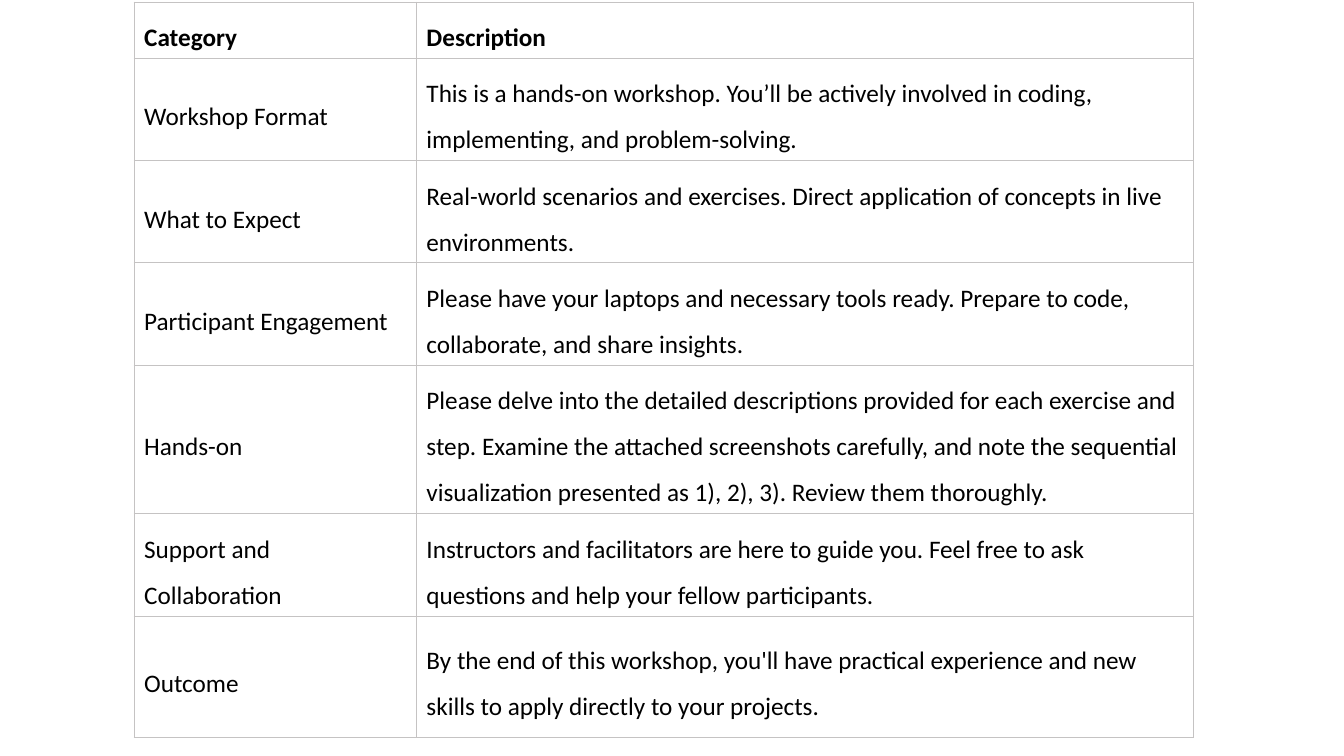
from typing import NamedTuple

from lxml import etree
from pptx import Presentation
from pptx.dml.color import RGBColor
from pptx.enum.text import MSO_ANCHOR
from pptx.oxml.ns import qn
from pptx.table import Table, _Cell
from pptx.util import Emu, Pt

PX = 9144  # EMU in one px, 100 px to the inch
BLACK = RGBColor(0x00, 0x00, 0x00)
GREY = RGBColor(0xC5, 0xC3, 0xC3)
MIDDLE = MSO_ANCHOR.MIDDLE
BLANK = 6
EDGES = ("a:lnL", "a:lnR", "a:lnT", "a:lnB")
FONT = {"name": "Calibri", "size": Pt(18)}
PLAIN = {"first_row": False, "horz_banding": False}
WIDTHS = (280, 771)


class Row(NamedTuple):
    topic: str
    text: str
    height: int = 93
    bold: bool = False


ROWS = (
    Row("Category", "Description", 49, True),
    Row("Workshop Format",
        "This is a hands-on workshop. You’ll be actively involved in coding, "
        "implementing, and problem-solving."),
    Row("What to Expect",
        "Real-world scenarios and exercises. Direct application of concepts "
        "in live environments."),
    Row("Participant Engagement",
        "Please have your laptops and necessary tools ready. Prepare to code, "
        "collaborate, and share insights."),
    Row("Hands-on",
        "Please delve into the detailed descriptions provided for each "
        "exercise and step. Examine the attached screenshots carefully, and "
        "note the sequential visualization presented as 1), 2), 3). "
        "Review them thoroughly.", 137),
    Row("Support and Collaboration",
        "Instructors and facilitators are here to guide you. Feel free to "
        "ask questions and help your fellow participants."),
    Row("Outcome",
        "By the end of this workshop, you'll have practical experience and "
        "new skills to apply directly to your projects.", 120),
)


def px(count: int) -> Emu:
    return Emu(count * PX)


def add_edges(cell: _Cell) -> None:
    props = cell._tc.get_or_add_tcPr()
    for edge in EDGES:
        line = etree.SubElement(props, qn(edge), w=str(Pt(0.75)))
        fill = etree.SubElement(line, qn("a:solidFill"))
        etree.SubElement(fill, qn("a:srgbClr"), val=str(GREY))


def fill_cell(cell: _Cell, text: str, bold: bool) -> None:
    add_edges(cell)
    cell.fill.background()
    cell.vertical_anchor = MIDDLE
    para = cell.text_frame.paragraphs[0]
    para.line_spacing = 1.5
    run = para.add_run()
    run.text = text
    for key, value in {**FONT, "bold": bold}.items():
        setattr(run.font, key, value)
    run.font.color.rgb = BLACK


def fill_table(table: Table) -> None:
    for key, value in PLAIN.items():
        setattr(table, key, value)
    for column, width in zip(table.columns, WIDTHS):
        column.width = px(width)
    for line, row in zip(table.rows, ROWS):
        line.height = px(row.height)
        for cell, text in zip(line.cells, (row.topic, row.text)):
            fill_cell(cell, text, row.bold)


def main() -> None:
    deck = Presentation()
    deck.slide_width, deck.slide_height = px(1333), px(750)
    slide = deck.slides.add_slide(deck.slide_layouts[BLANK])
    height = sum(row.height for row in ROWS)
    frame = slide.shapes.add_table(
        len(ROWS), len(WIDTHS), px(133), px(2), px(sum(WIDTHS)), px(height))
    fill_table(frame.table)
    deck.save("out.pptx")


if __name__ == "__main__":
    main()
